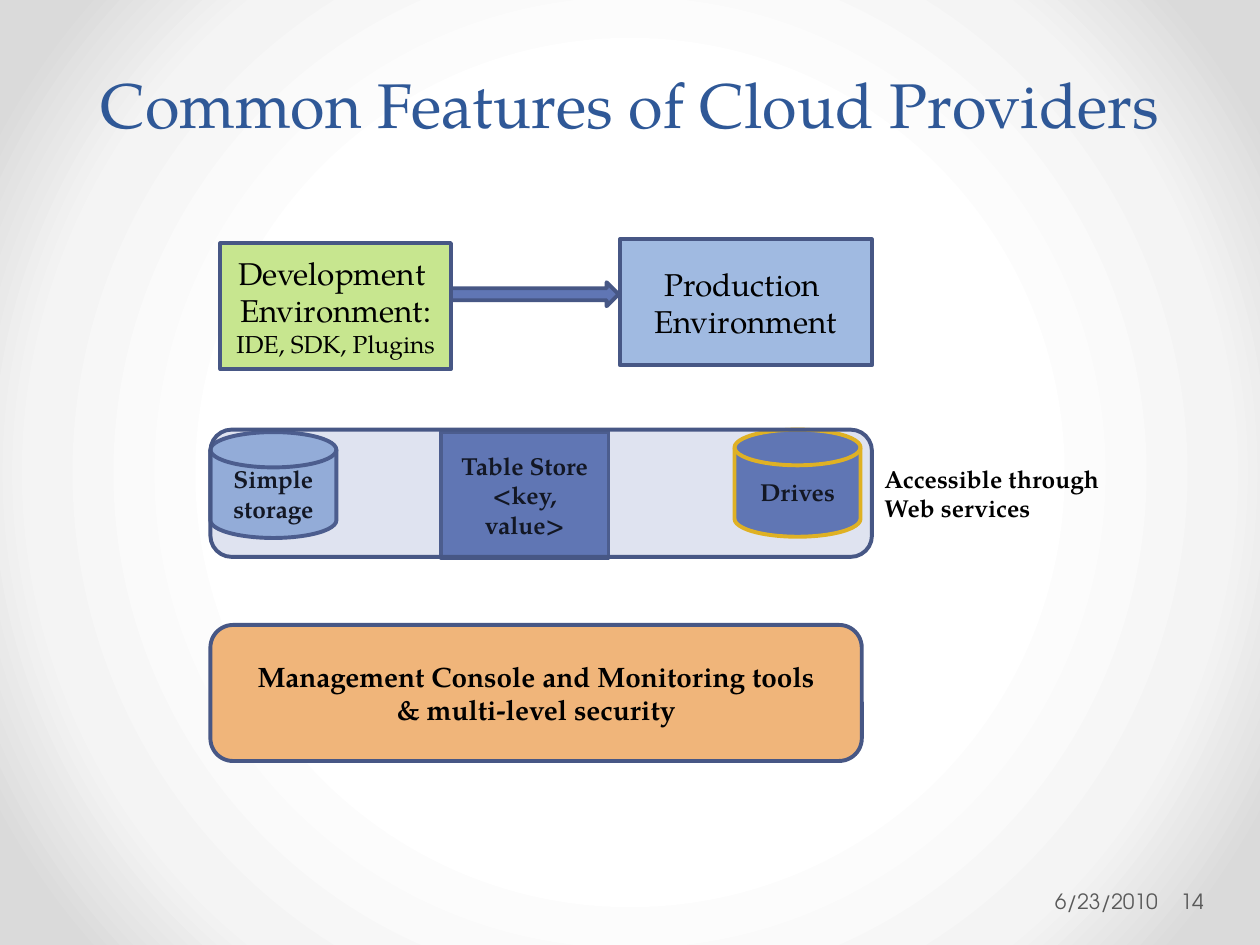
from pptx import Presentation
from pptx.dml.color import RGBColor
from pptx.enum.shapes import MSO_SHAPE as SHAPE
from pptx.enum.text import MSO_ANCHOR as ANCHOR, MSO_AUTO_SIZE as AUTO, PP_ALIGN as ALIGN
from pptx.oxml import parse_xml
from pptx.oxml.ns import nsdecls, qn
from pptx.util import Inches, Pt
from lxml import etree

SERIF, SANS = "TeX Gyre Pagella", "TeX Gyre Adventor"
BLUE, EDGE = "6076B4", "475785"


def color(hue):
    return RGBColor.from_string(hue)


def write(frame, lines, size, bold=False, align=ALIGN.CENTER, face=SERIF, hue="000000"):
    for i, line in enumerate(lines):
        para = frame.paragraphs[0] if i == 0 else frame.add_paragraph()
        para.text = line
        para.alignment = align
        font = para.font
        font.name, font.size, font.bold = face, Pt(size), bold
        font.color.rgb = color(hue)


deck = Presentation()
deck.slide_width, deck.slide_height = Inches(10), Inches(7.5)
slide = deck.slides.add_slide(deck.slide_layouts[5])

# Background: white centre, grey corners
stops = "".join(
    f'<a:gs pos="{pos}000"><a:srgbClr val="{hue}"/></a:gs>'
    for pos, hue in [(50, "FFFFFF"), (76, "F4F4F4"), (92, "DADADA")])
back = parse_xml(
    f'<p:bg {nsdecls("p", "a")}><p:bgPr><a:gradFill><a:gsLst>{stops}</a:gsLst>'
    '<a:path path="circle"><a:fillToRect l="50000" t="50000" r="50000" b="50000"/></a:path>'
    '</a:gradFill><a:effectLst/></p:bgPr></p:bg>')
slide.element.cSld.insert(0, back)

# Title
title = slide.shapes.title
title.left, title.top, title.width, title.height = map(Inches, (0.5, 0, 9, 1.17))
frame = title.text_frame
frame.auto_size, frame.vertical_anchor = AUTO.NONE, ANCHOR.BOTTOM
write(frame, ["Common Features of Cloud Providers"], 36, hue="2F5897")
frame.paragraphs[0].line_spacing = Pt(58)

# Diagram, from back to front: kind, place, fill, line, lines of text, size, bold
parts = [
    (SHAPE.RECTANGLE, (1.75, 1.93, 1.83, 1), "C7E68F", EDGE,
     ["Development ", "Environment: "], 18, False),
    (SHAPE.RECTANGLE, (4.92, 1.9, 2, 1), "A0BAE1", EDGE,
     ["Production ", "Environment"], 18, False),
    (SHAPE.RIGHT_ARROW, (3.58, 2.24, 1.33, 0.19), BLUE, EDGE, [], 18, False),
    (SHAPE.FLOWCHART_MAGNETIC_DISK, (1.67, 3.43, 1, 0.84), "A0BAE1", EDGE,
     ["Simple", "storage"], 14, True),
    (SHAPE.RECTANGLE, (3.5, 3.43, 1.33, 1), BLUE, EDGE,
     ["Table Store <key, value>"], 14, True),
    (SHAPE.FLOWCHART_MAGNETIC_DISK, (5.83, 3.41, 1, 0.85), BLUE, "FFC000",
     ["Drives"], 14, True),
    (SHAPE.ROUNDED_RECTANGLE, (1.67, 3.41, 5.25, 1.01), BLUE, EDGE, [], 14, True),
    (SHAPE.ROUNDED_RECTANGLE, (1.67, 4.96, 5.17, 1.08), "F0B57A", EDGE,
     ["Management Console and Monitoring tools", "& multi-level security"], 16, True),
]
drawn = []
for kind, place, fill, edge, lines, size, bold in parts:
    shape = slide.shapes.add_shape(kind, *map(Inches, place))
    shape.shadow.inherit = False
    shape.fill.solid()
    shape.fill.fore_color.rgb = color(fill)
    shape.line.color.rgb = color(edge)
    shape.line.width = Pt(2.25)
    shape.text_frame.vertical_anchor = ANCHOR.MIDDLE
    write(shape.text_frame, lines, size, bold)
    drawn.append(shape)

# Smaller tool list in the development box
tools = drawn[0].text_frame.paragraphs[1].add_run()
tools.text = "IDE, SDK, Plugins"
tools.font.size = Pt(14)

# Storage band lets the stores show through
tint = drawn[6].fill._xPr.find(qn("a:solidFill"))[0]
etree.SubElement(tint, qn("a:alpha"), val="20000")

# Side note
note = slide.shapes.add_textbox(*map(Inches, (6.92, 3.63, 1.97, 0.57))).text_frame
note.word_wrap, note.auto_size = False, AUTO.SHAPE_TO_FIT_TEXT
write(note, ["Accessible through", "Web services"], 14, True, ALIGN.LEFT)

# Date and slide number
for text, left, width, inset, align in [
        ("6/23/2010", 6.96, 2.28, 0.1, ALIGN.RIGHT), ("14", 9.34, 0.61, 0.03, ALIGN.LEFT)]:
    foot = slide.shapes.add_textbox(*map(Inches, (left, 6.95, width, 0.4))).text_frame
    foot.word_wrap, foot.vertical_anchor = True, ANCHOR.MIDDLE
    foot.margin_left, foot.margin_right = Inches(inset), Inches(0.05)
    write(foot, [text], 12, align=align, face=SANS, hue="595959")

deck.save("out.pptx")
